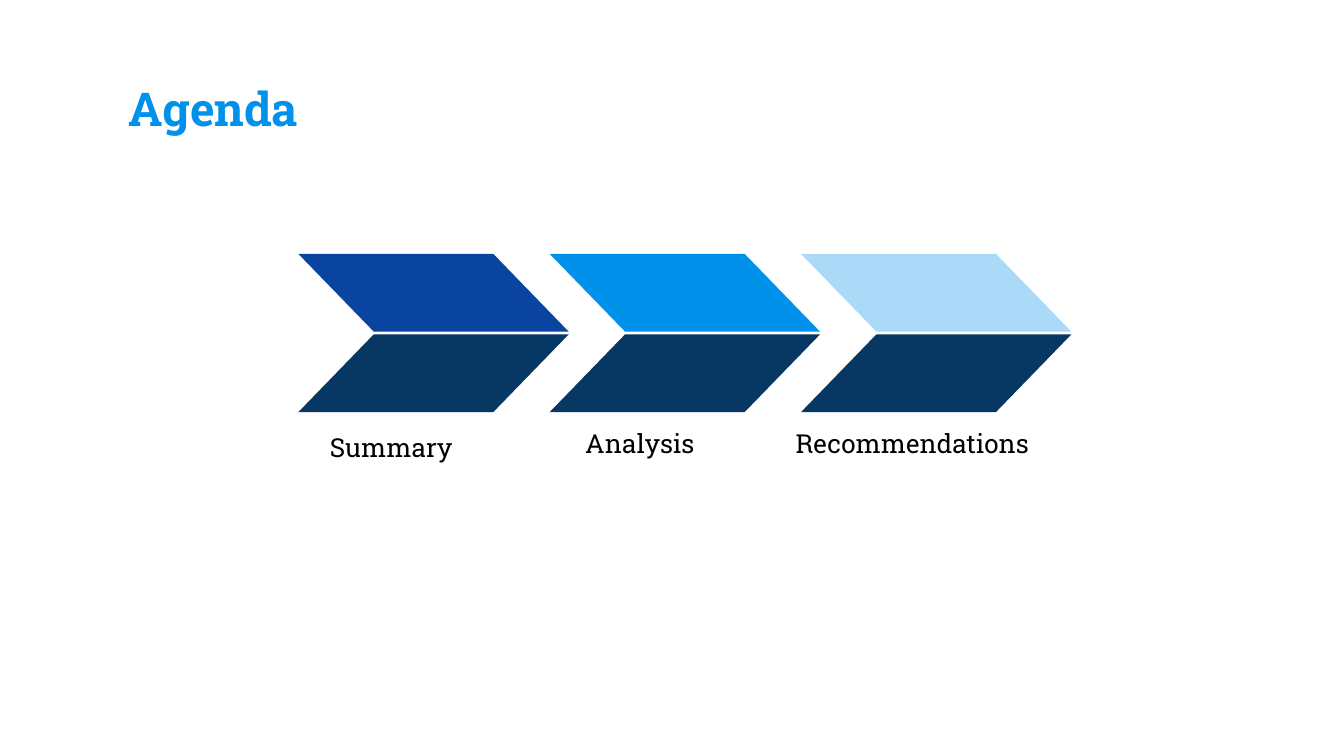
from lxml import etree
from pptx import Presentation
from pptx.dml.color import RGBColor
from pptx.enum.shapes import MSO_SHAPE
from pptx.enum.text import MSO_ANCHOR, PP_ALIGN
from pptx.oxml.ns import qn
from pptx.util import Cm, Pt

PARALLELOGRAM = MSO_SHAPE.PARALLELOGRAM
TOP, BOTTOM = MSO_ANCHOR.TOP, MSO_ANCHOR.BOTTOM
LEFT, CENTER = PP_ALIGN.LEFT, PP_ALIGN.CENTER

BLUE, NAVY, ROYAL, BLACK = "0091EA", "073763", "0944A1", "000000"


def color(value):
    return RGBColor.from_string(value)


class AgendaSlide:
    font = "Roboto Slab"
    inset = Cm(0.25)
    slant = 0.97

    def __init__(self, deck):
        self.page = deck.slides.add_slide(deck.slide_layouts[6])
        self.page.background.fill.solid()
        self.page.background.fill.fore_color.rgb = color("FFFFFF")

    def text(self, words, left, top, width, height, size, ink=BLACK,
             bold=False, align=CENTER, anchor=TOP):
        box = self.page.shapes.add_textbox(Cm(left), Cm(top), Cm(width), Cm(height))
        frame = box.text_frame
        frame.word_wrap = True
        frame.vertical_anchor = anchor
        frame.margin_left = frame.margin_right = self.inset
        frame.margin_top = frame.margin_bottom = self.inset
        frame.text = words
        para = frame.paragraphs[0]
        para.alignment = align
        span = para.runs[0]
        span.font.name = self.font
        span.font.size = Pt(size)
        span.font.bold = bold
        span.font.color.rgb = color(ink)

    def half_arrow(self, left, top, width, height, fill, flip=False, opacity=100):
        shape = self.page.shapes.add_shape(
            PARALLELOGRAM, Cm(left), Cm(top), Cm(width), Cm(height))
        shape.shadow.inherit = False
        shape.adjustments[0] = self.slant
        shape.fill.solid()
        shape.fill.fore_color.rgb = color(fill)
        shape.line.fill.background()
        properties = shape.element.spPr
        if flip:
            properties.find(qn("a:xfrm")).set("flipH", "1")
        if opacity < 100:
            tint = properties.find(qn("a:solidFill")).find(qn("a:srgbClr"))
            etree.SubElement(tint, qn("a:alpha")).set("val", str(opacity * 1000))

    def chevron(self, left, top, fill, opacity):
        width, height, pitch = 5.11, 1.47, 1.52
        self.half_arrow(left, top, width, height, fill, flip=True, opacity=opacity)
        self.half_arrow(left, top + pitch, width, height, NAVY)


def main():
    deck = Presentation()
    deck.slide_width, deck.slide_height = Cm(25.4), Cm(14.29)
    slide = AgendaSlide(deck)

    # Title
    slide.text("Agenda", 2.18, 0.86, 21.03, 1.96, 25, BLUE,
               bold=True, align=LEFT, anchor=BOTTOM)

    # Steps: label, its left, top and width, then upper colour and opacity
    steps = [
        ("Summary", 5.16, 7.9, 4.47, ROYAL, 100),
        ("Analysis", 9.86, 7.82, 4.47, BLUE, 100),
        ("Recommendations", 14.58, 7.82, 5.33, BLUE, 33),
    ]
    for index, (label, left, top, width, fill, opacity) in enumerate(steps):
        slide.text(label, left, top, width, 1.57, 14)
        slide.chevron(5.64 + index * 4.75, 4.8, fill, opacity)

    deck.save("out.pptx")


if __name__ == "__main__":
    main()
